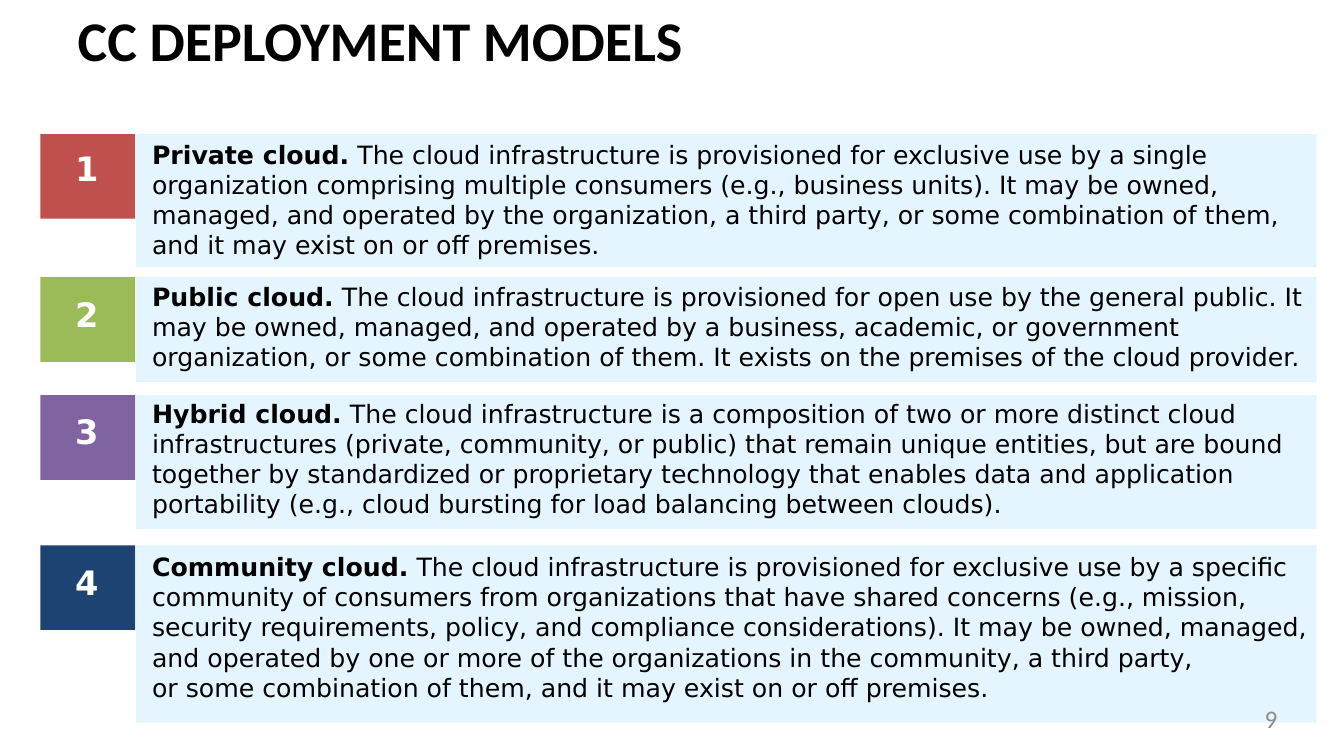
from lxml import etree
from pptx import Presentation
from pptx.dml.color import RGBColor
from pptx.enum.shapes import MSO_SHAPE
from pptx.enum.text import MSO_ANCHOR, MSO_AUTO_SIZE, PP_ALIGN as Align
from pptx.oxml.ns import qn
from pptx.util import Pt

EMU_PER_PX = 9144  # 100 px to the inch
COLORS = {
    "black": "000000",
    "white": "FFFFFF",
    "panel": "CCECFF",
    "page": "8C8C8C",
    "red": "C0504D",
    "green": "9BBB59",
    "purple": "8064A2",
    "navy": "1C4372",
}
BODY_FONT = "DejaVu Sans"
TITLE_FONT = "Calibri"

# tile colour, panel top, panel height, number top, text top, name, paragraphs
MODELS = [
    ("red", 133, 132, 142, 133, "Private cloud.", [
        " The cloud infrastructure is provisioned for exclusive use by a single "
        "organization comprising multiple consumers (e.g., business units). It may be "
        "owned, managed, and operated by the organization, a third party, or some "
        "combination of them, and it may exist on or off premises.",
    ]),
    ("green", 275, 104, 287, 274, "Public cloud.", [
        " The cloud infrastructure is provisioned for open use by the general public. It",
        "may be owned, managed, and operated by a business, academic, or government "
        "organization, or some combination of them. It exists on the premises of the "
        "cloud provider.",
    ]),
    ("purple", 392, 133, 403, 390, "Hybrid cloud.", [
        " The cloud infrastructure is a composition of two or more distinct cloud "
        "infrastructures (private, community, or public) that remain unique entities, "
        "but are bound",
        "together by standardized or proprietary technology that enables data and "
        "application",
        "portability (e.g., cloud bursting for load balancing between clouds).",
    ]),
    ("navy", 541, 176, 553, 542, "Community cloud.", [
        " The cloud infrastructure is provisioned for exclusive use by a specific",
        "community of consumers from organizations that have shared concerns (e.g., "
        "mission,",
        "security requirements, policy, and compliance considerations). It may be owned, "
        "managed,",
        "and operated by one or more of the organizations in the community, a third party,",
        "or some combination of them, and it may exist on or off premises.",
    ]),
]


def px(*lengths):
    return [length * EMU_PER_PX for length in lengths]


def write(frame, paragraphs, size, font=BODY_FONT, color="black", bold=False,
          lead="", align=Align.LEFT):
    """Fill a text frame; lead is a bold opening of the first paragraph."""
    frame.word_wrap = True
    frame.auto_size = MSO_AUTO_SIZE.NONE
    frame.vertical_anchor = MSO_ANCHOR.TOP
    for index, text in enumerate(paragraphs):
        paragraph = frame.add_paragraph() if index else frame.paragraphs[0]
        paragraph.alignment = align
        runs = [(text, bold)]
        if lead and index == 0:
            runs.insert(0, (lead, True))
        for run_text, run_bold in runs:
            run = paragraph.add_run()
            run.text = run_text
            run.font.name = font
            run.font.size = Pt(size)
            run.font.bold = run_bold
            run.font.color.rgb = RGBColor.from_string(COLORS[color])


def add_text(slide, box, paragraphs, size, **text_format):
    frame = slide.shapes.add_textbox(*px(*box)).text_frame
    write(frame, paragraphs, size, **text_format)
    return frame


def add_rectangle(slide, box, color, opacity=100):
    shape = slide.shapes.add_shape(MSO_SHAPE.RECTANGLE, *px(*box))
    shape.shadow.inherit = False
    shape.line.fill.background()
    shape.fill.solid()
    shape.fill.fore_color.rgb = RGBColor.from_string(COLORS[color])
    if opacity < 100:
        rgb = shape.fill._xPr.find(".//" + qn("a:srgbClr"))
        etree.SubElement(rgb, qn("a:alpha")).set("val", str(opacity * 1000))


def add_title(slide, text):
    title = slide.shapes.title
    title.left, title.top, title.width, title.height = px(67, 0, 1150, 62)
    write(title.text_frame, [text], 40, font=TITLE_FONT, bold=True)


def add_model(slide, number, color, top, height, number_top, text_top, name, paragraphs):
    add_rectangle(slide, (135, top, 1171, height), "panel", opacity=50)
    add_rectangle(slide, (40, top, 94, 84), color)
    add_text(slide, (52, number_top, 68, 50), [str(number)], 24,
             color="white", bold=True, align=Align.CENTER)
    add_text(slide, (141, text_top, 1180, height), paragraphs, 18, lead=name)


def add_page_number(slide, number):
    frame = add_text(slide, (960, 698, 307, 30), [str(number)], 18,
                     font=TITLE_FONT, color="page", align=Align.RIGHT)
    frame.margin_left = frame.margin_right = frame.margin_top = frame.margin_bottom = 0


def main():
    presentation = Presentation()
    presentation.slide_width, presentation.slide_height = px(1333, 750)
    slide = presentation.slides.add_slide(presentation.slide_layouts[5])
    add_title(slide, "CC DEPLOYMENT MODELS")
    for number, model in enumerate(MODELS, start=1):
        add_model(slide, number, *model)
    add_page_number(slide, 9)
    presentation.save("out.pptx")


if __name__ == "__main__":
    main()
